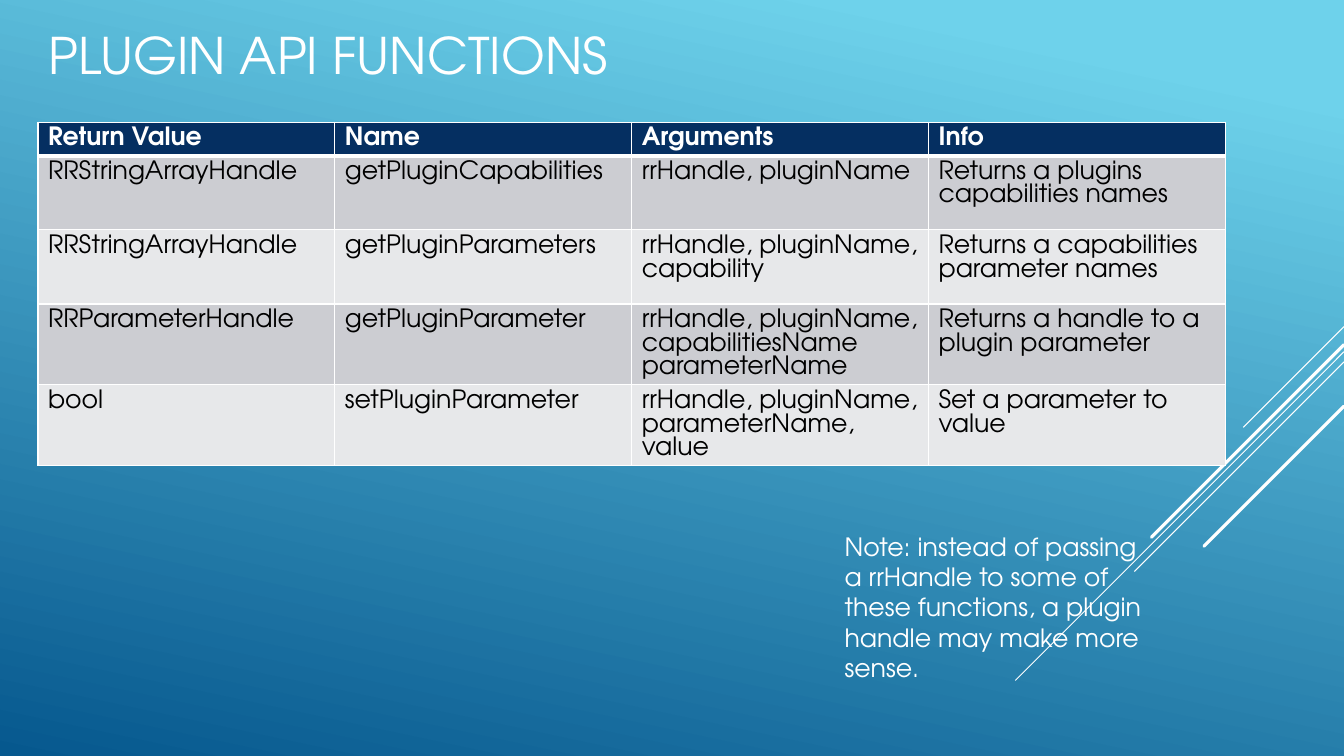
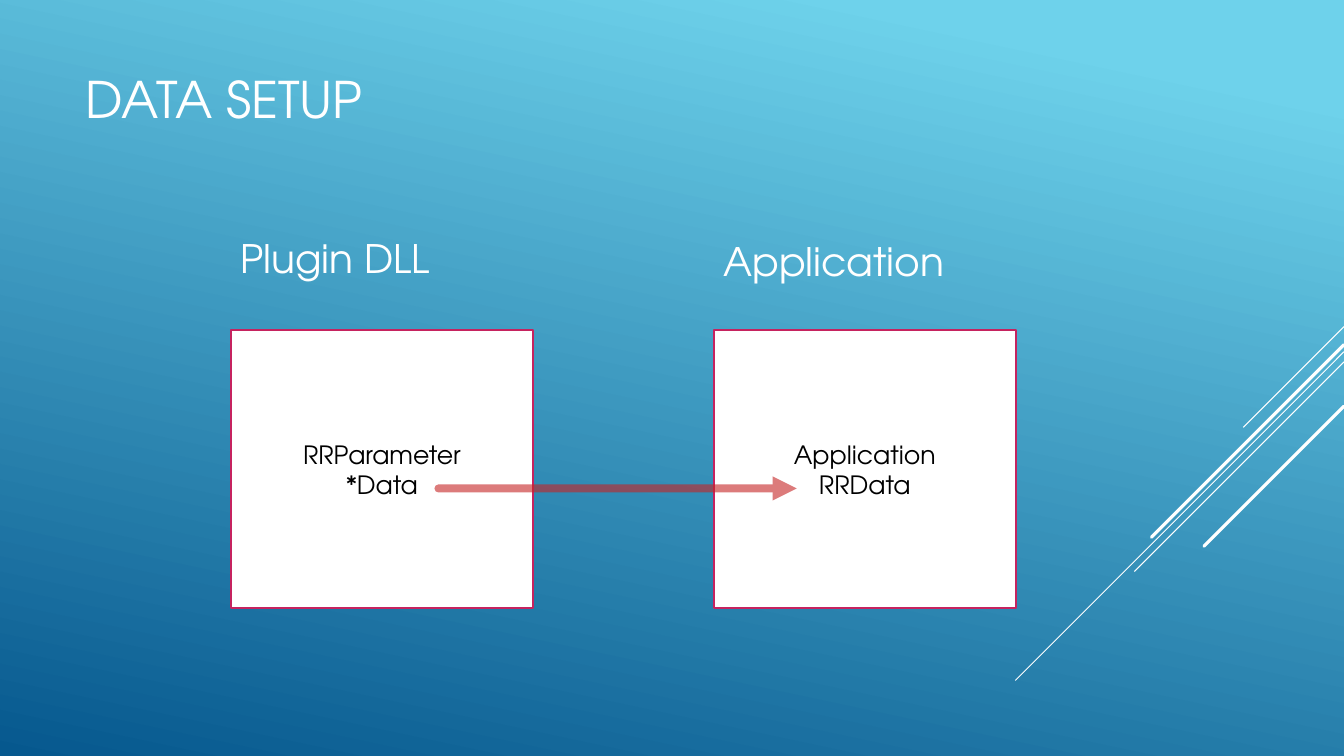
from dataclasses import dataclass

from lxml import etree
from pptx import Presentation
from pptx import util as u
from pptx.dml.color import RGBColor
from pptx.enum import shapes, text
from pptx.oxml.ns import qn


@dataclass(frozen=True)
class Theme:
    font: str = "TeX Gyre Adventor"
    sky: str = "6ED2EB"
    deep: str = "06588E"
    white: str = "FFFFFF"
    black: str = "000000"
    navy: str = "052F61"
    bands: tuple = ("CCCDD2", "E7E8EA")
    outline: str = "C6235F"
    arrow: str = "C62324"
    title_size: int = 36
    label_size: int = 28
    body_size: int = 18


theme = Theme()
rgb = RGBColor.from_string

prs = Presentation()
prs.slide_width, prs.slide_height = u.Inches(13.333), u.Inches(7.5)

# Grid of 160 columns by 90 rows
COL, ROW = prs.slide_width / 160, prs.slide_height / 90


def write(frame, words, size, color, align=text.PP_ALIGN.LEFT, bold=False):
    frame.text = words
    for paragraph in frame.paragraphs:
        paragraph.alignment = align
        for run in paragraph.runs:
            run.font.name, run.font.size = theme.font, u.Pt(size)
            run.font.color.rgb, run.font.bold = rgb(color), bold


def draw_line(slide, x1, y1, x2, y2, color, width):
    line = slide.shapes.add_connector(
        shapes.MSO_CONNECTOR.STRAIGHT,
        round(x1 * COL), round(y1 * ROW), round(x2 * COL), round(y2 * ROW))
    line.line.color.rgb, line.line.width = rgb(color), u.Pt(width)
    etree.SubElement(line._element.spPr, qn("a:effectLst"))
    ln = line._element.spPr.find(qn("a:ln"))
    if width > 1:
        ln.set("cap", "rnd")
    return ln


# Shared background
backdrop = prs.slide_master.background.fill
backdrop.gradient()
backdrop.gradient_angle = 360 - 102
for stop, color, position in zip(backdrop.gradient_stops, (theme.sky, theme.deep), (0.1, 1)):
    stop.color.rgb, stop.position = rgb(color), position

# Diagonals run at 45 degrees from the right edge: start row, run, width
DIAGONALS = [(38.88, 12, 0.75), (41.88, 39.12, 0.75), (43.08, 24.96, 0.75),
             (41.04, 22.92, 2.25), (48.36, 16.68, 2.25)]
# Title: words, column, row, height, anchor
TITLES = [("PLUGIN API FUNCTIONS", 4.56, 2.28, 10.92, text.MSO_ANCHOR.TOP),
          ("DATA SETUP", 9, 5.5, 10.44, text.MSO_ANCHOR.BOTTOM)]

# Slides with diagonals and title
slides = []
for words, left, top, height, anchor in TITLES:
    slide = prs.slides.add_slide(prs.slide_layouts[5])
    for start, run, width in DIAGONALS:
        draw_line(slide, 160, start, 160 - run, start + run, theme.white, width)
    title = slide.shapes.title
    title.left, title.top = round(left * COL), round(top * ROW)
    title.width, title.height = round(112 * COL), round(height * ROW)
    title.text_frame.auto_size = text.MSO_AUTO_SIZE.NONE
    title.text_frame.vertical_anchor = anchor
    write(title.text_frame, words, theme.title_size, theme.white)
    slides.append(slide)
functions_slide, data_slide = slides

# Table of functions
FUNCTIONS = [
    ("Return Value", "Name", "Arguments", "Info"),
    ("RRStringArrayHandle", "getPluginCapabilities", "rrHandle, pluginName",
     "Returns a plugins capabilities names"),
    ("RRStringArrayHandle", "getPluginParameters", "rrHandle, pluginName, capability",
     "Returns a capabilities parameter names"),
    ("RRParameterHandle", "getPluginParameter",
     "rrHandle, pluginName, capabilitiesName parameterName",
     "Returns a handle to a plugin parameter"),
    ("bool", "setPluginParameter", "rrHandle, pluginName, parameterName, value",
     "Set a parameter to value"),
]
functions = functions_slide.shapes.add_table(
    len(FUNCTIONS), 4, round(4.52 * COL), round(14.55 * ROW),
    round(141.36 * COL), round(39.36 * ROW)).table
for r, entries in enumerate(FUNCTIONS):
    header = r == 0
    functions.rows[r].height = round((3.84 if header else 8.83) * ROW)
    for c, entry in enumerate(entries):
        cell = functions.cell(r, c)
        write(cell.text_frame, entry, theme.body_size,
              theme.white if header else theme.black, bold=header)
        borders = {"lnL": 1, "lnR": 1, "lnT": 3 if r == 1 else 1, "lnB": 3 if header else 1}
        for side, width in borders.items():
            border = etree.SubElement(cell._tc.get_or_add_tcPr(), qn(f"a:{side}"),
                                      w=str(u.Pt(width)))
            paint = etree.SubElement(border, qn("a:solidFill"))
            etree.SubElement(paint, qn("a:srgbClr"), val=theme.white)
        cell.fill.solid()
        cell.fill.fore_color.rgb = rgb(theme.navy if header else theme.bands[(r - 1) % 2])

# Note under the table
note = functions_slide.shapes.add_textbox(
    round(99.36 * COL), round(62.64 * ROW), round(38.52 * COL), round(19.44 * ROW)).text_frame
note.word_wrap = True
note.auto_size = text.MSO_AUTO_SIZE.SHAPE_TO_FIT_TEXT
write(note, "Note: instead of passing a rrHandle to some of these functions, "
      "a plugin handle may make more sense.", theme.body_size, theme.white)

# Data owners: label, box text, column, label row, label width
OWNERS = [("Plugin DLL", "RRParameter\n*Data", 27.48, 27.36, 25.2),
          ("Application", "Application\nRRData", 84.96, 27.72, 29.04)]
for name, content, left, label_top, label_width in OWNERS:
    box = data_slide.shapes.add_shape(
        shapes.MSO_SHAPE.RECTANGLE, round(left * COL), round(39.3 * ROW),
        round(36 * COL), round(33.12 * ROW))
    box.shadow.inherit = False
    box.fill.solid()
    box.fill.fore_color.rgb = rgb(theme.white)
    box.line.color.rgb, box.line.width = rgb(theme.outline), u.Pt(1.25)
    box.text_frame.vertical_anchor = text.MSO_ANCHOR.MIDDLE
    write(box.text_frame, content, theme.body_size, theme.black, text.PP_ALIGN.CENTER)

    label = data_slide.shapes.add_textbox(
        round(left * COL), round(label_top * ROW),
        round(label_width * COL), round(6.84 * ROW)).text_frame
    label.word_wrap = False
    label.auto_size = text.MSO_AUTO_SIZE.SHAPE_TO_FIT_TEXT
    write(label, name, theme.label_size, theme.white)

# Translucent pointer from the parameter to the data
pointer = draw_line(data_slide, 52.2, 58.15, 94.85, 58.15, theme.arrow, 5.75)
etree.SubElement(pointer.find(".//" + qn("a:srgbClr")), qn("a:alpha"), val="60000")
etree.SubElement(pointer, qn("a:tailEnd"), type="triangle")

prs.save("out.pptx")
